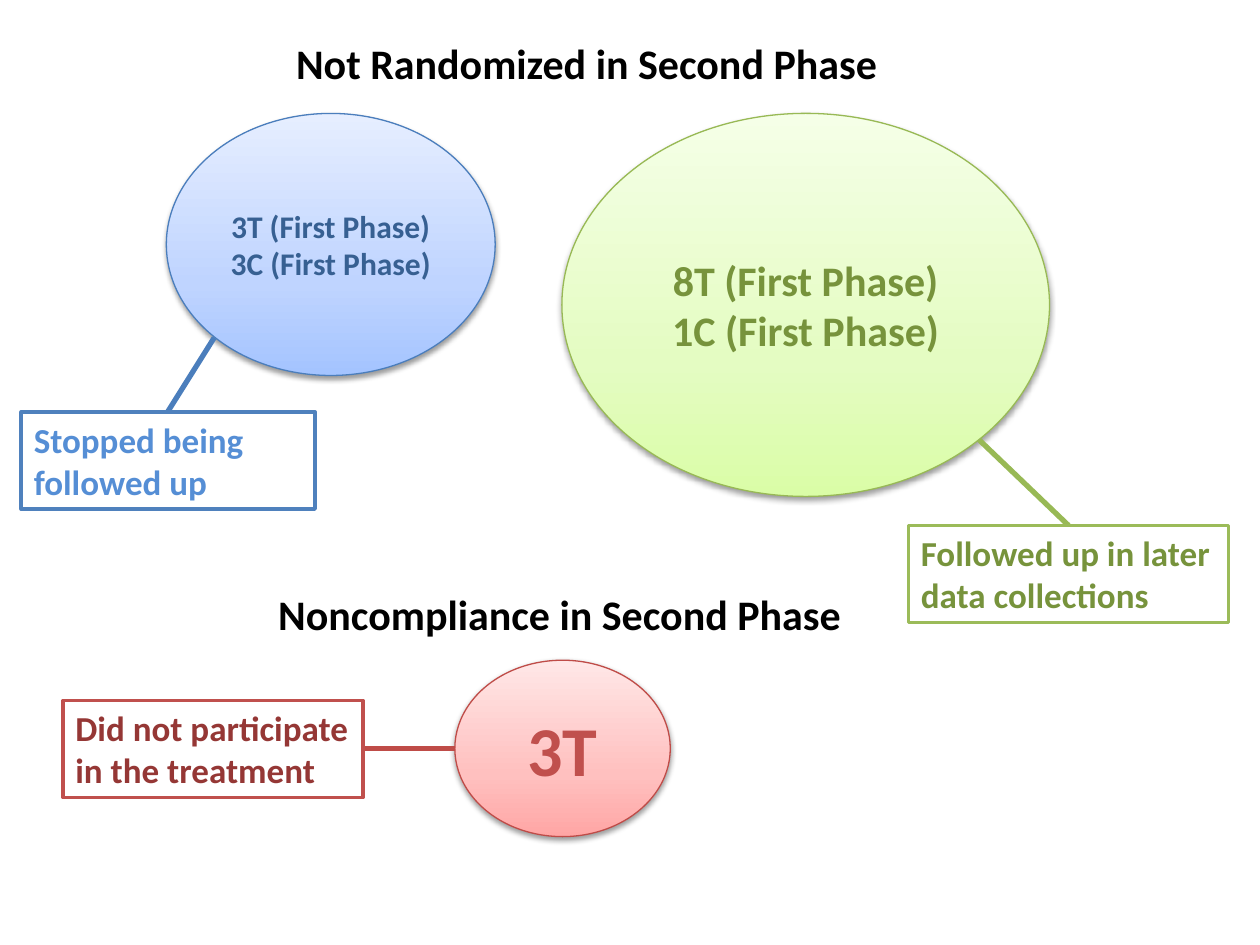
import copy
import lxml.etree
import pptx
import pptx.dml.color
import pptx.enum.shapes
import pptx.enum.text
import pptx.oxml.ns
import pptx.util

Inches, Pt = pptx.util.Inches, pptx.util.Pt
qn = pptx.oxml.ns.qn
rgb = pptx.dml.color.RGBColor.from_string
kinds = pptx.enum.shapes.MSO_SHAPE
anchor = pptx.enum.text.MSO_ANCHOR
align = pptx.enum.text.PP_ALIGN
fit = pptx.enum.text.MSO_AUTO_SIZE

theme = {
    "font": "Calibri", "head": 24, "note": 20, "ink": "000000", "paper": "FFFFFF",
    "blue": {"stops": ["A4C4FF", "BFD4FF", "E6EEFF"], "edge": "4B7EBC",
             "text": "376092", "box": "4F81BD", "note": "558ED5"},
    "green": {"stops": ["DAFDA7", "E4FCC2", "F5FFE7"], "edge": "98B955",
              "text": "77933C", "box": "9BBB59", "note": "77933C"},
    "red": {"stops": ["FFA6A5", "FFC0BF", "FFE7E7"], "edge": "BF4C48",
            "text": "C0504D", "box": "C0504D", "note": "953735"},
}


def write(shape, text, size, color, side=align.LEFT, wrap=True):
    frame = shape.text_frame
    frame.text = text
    frame.word_wrap = wrap
    for para in frame.paragraphs:
        para.alignment = side
        for run in para.runs:
            font = run.font
            font.name, font.size, font.bold = theme["font"], Pt(size), True
            font.color.rgb = rgb(color)


def stroke(line, color, width):
    line.color.rgb = rgb(color)
    line.width = Pt(width)


deck = pptx.Presentation()
deck.slide_width, deck.slide_height = Inches(10), Inches(7.5)
slide = deck.slides.add_slide(deck.slide_layouts[5])
shapes = slide.shapes

# Headings
title = shapes.title
title.left, title.top = Inches(2.25), Inches(0.25)
title.width, title.height = Inches(4.86), Inches(0.5)
second = shapes.add_textbox(Inches(2.11), Inches(4.62), Inches(4.71), Inches(0.5))
for head, text in [(title, "Not Randomized in Second Phase"),
                   (second, "Noncompliance in Second Phase")]:
    write(head, text, theme["head"], theme["ink"], wrap=False)
    head.text_frame.vertical_anchor = anchor.TOP
    head.text_frame.auto_size = fit.SHAPE_TO_FIT_TEXT

# Group ovals with gradient and soft shadow
ovals = [
    ("blue", (1.32, 0.9, 2.61, 2.08), "3T (First Phase)\n3C (First Phase)", 18),
    ("green", (4.46, 0.9, 3.87, 3.04), "8T (First Phase)\n1C (First Phase)", 24),
    ("red", (3.61, 5.24, 1.71, 1.4), "3T", 40),
]
for name, place, text, size in ovals:
    hue = theme[name]
    oval = shapes.add_shape(kinds.OVAL, *map(Inches, place))
    oval.fill.gradient()
    oval.fill.gradient_angle = 90
    props = oval._element.spPr
    stops = props.find(".//" + qn("a:gsLst"))
    stops.insert(1, copy.deepcopy(stops[0]))
    for stop, color, spot in zip(oval.fill.gradient_stops, hue["stops"], (0, 0.35, 1)):
        stop.color.rgb = rgb(color)
        stop.position = spot
    stroke(oval.line, hue["edge"], 0.75)
    oval.shadow.inherit = False
    shade = lxml.etree.SubElement(
        props.find(qn("a:effectLst")), qn("a:outerShdw"), blurRad=str(Pt(3.1)),
        dist=str(Pt(1.6)), dir="5400000", rotWithShape="0")
    black = lxml.etree.SubElement(shade, qn("a:srgbClr"), val="000000")
    lxml.etree.SubElement(black, qn("a:alpha"), val="38000")
    write(oval, text, size, hue["text"], align.CENTER)
    oval.text_frame.vertical_anchor = anchor.MIDDLE

# Lines from ovals to notes
links = [
    ("blue", (1.7, 2.68, 1.33, 3.27)),
    ("green", (7.77, 3.49, 8.48, 4.17)),
    ("red", (3.61, 5.94, 2.88, 5.94)),
]
for name, ends in links:
    link = shapes.add_connector(pptx.enum.shapes.MSO_CONNECTOR.STRAIGHT, *map(Inches, ends))
    stroke(link.line, theme[name]["edge"], 3)
    lxml.etree.SubElement(link._element.spPr, qn("a:effectLst"))

# Boxed notes
notes = [
    ("blue", (0.17, 3.27, 2.33), "Stopped being followed up", 2.25, True),
    ("green", (7.21, 4.17, 2.54), "Followed up in later data collections", 2, True),
    ("red", (0.5, 5.56, 2.38), "Did not participate\nin the treatment", 2, False),
]
for name, place, text, width, wrap in notes:
    hue = theme[name]
    note = shapes.add_shape(kinds.RECTANGLE, *map(Inches, place), Inches(0.77))
    note.shadow.inherit = False
    note.fill.solid()
    note.fill.fore_color.rgb = rgb(theme["paper"])
    stroke(note.line, hue["box"], width)
    write(note, text, theme["note"], hue["note"], wrap=wrap)
    note.text_frame.vertical_anchor = anchor.TOP
    note.text_frame.auto_size = fit.SHAPE_TO_FIT_TEXT

deck.save("out.pptx")
